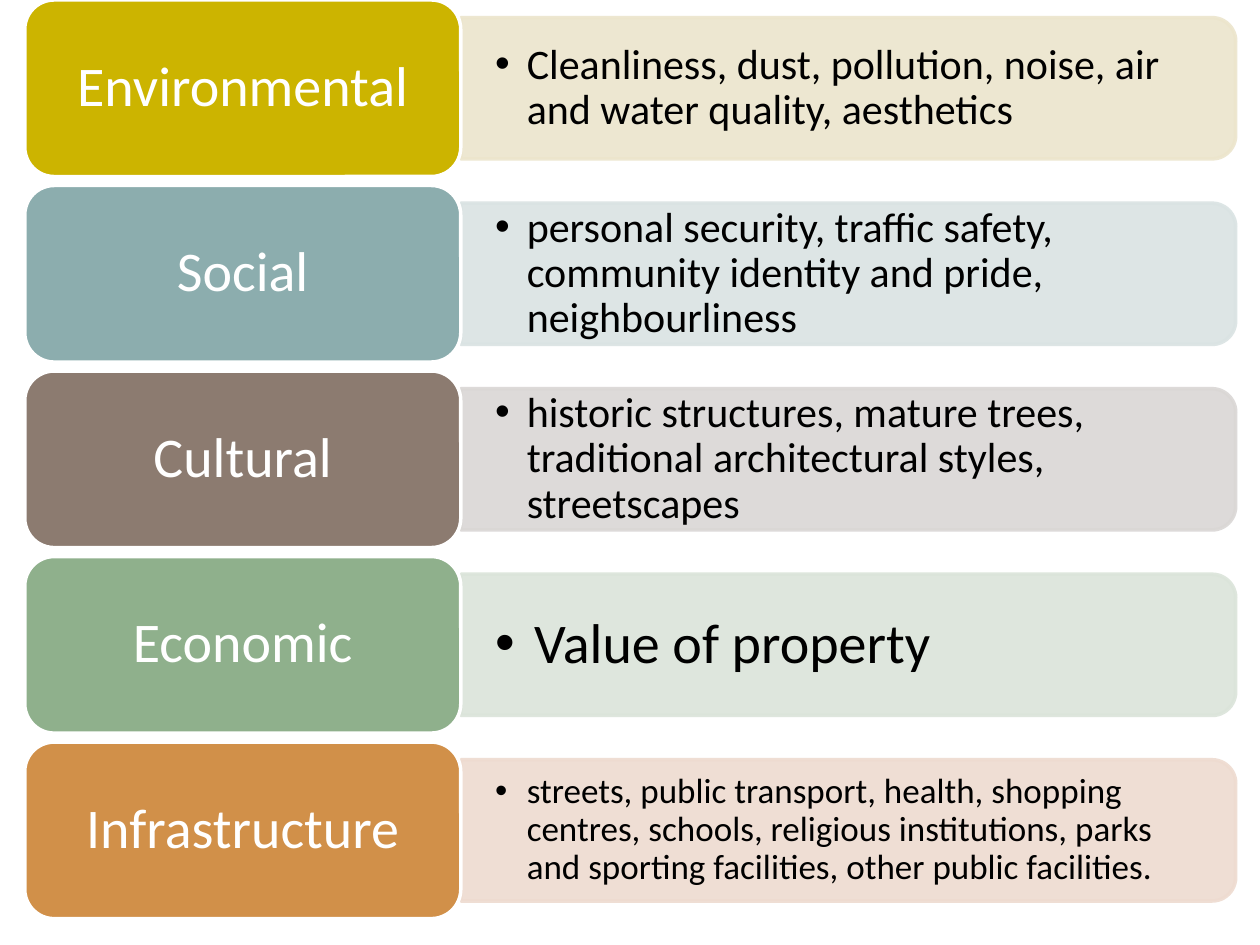
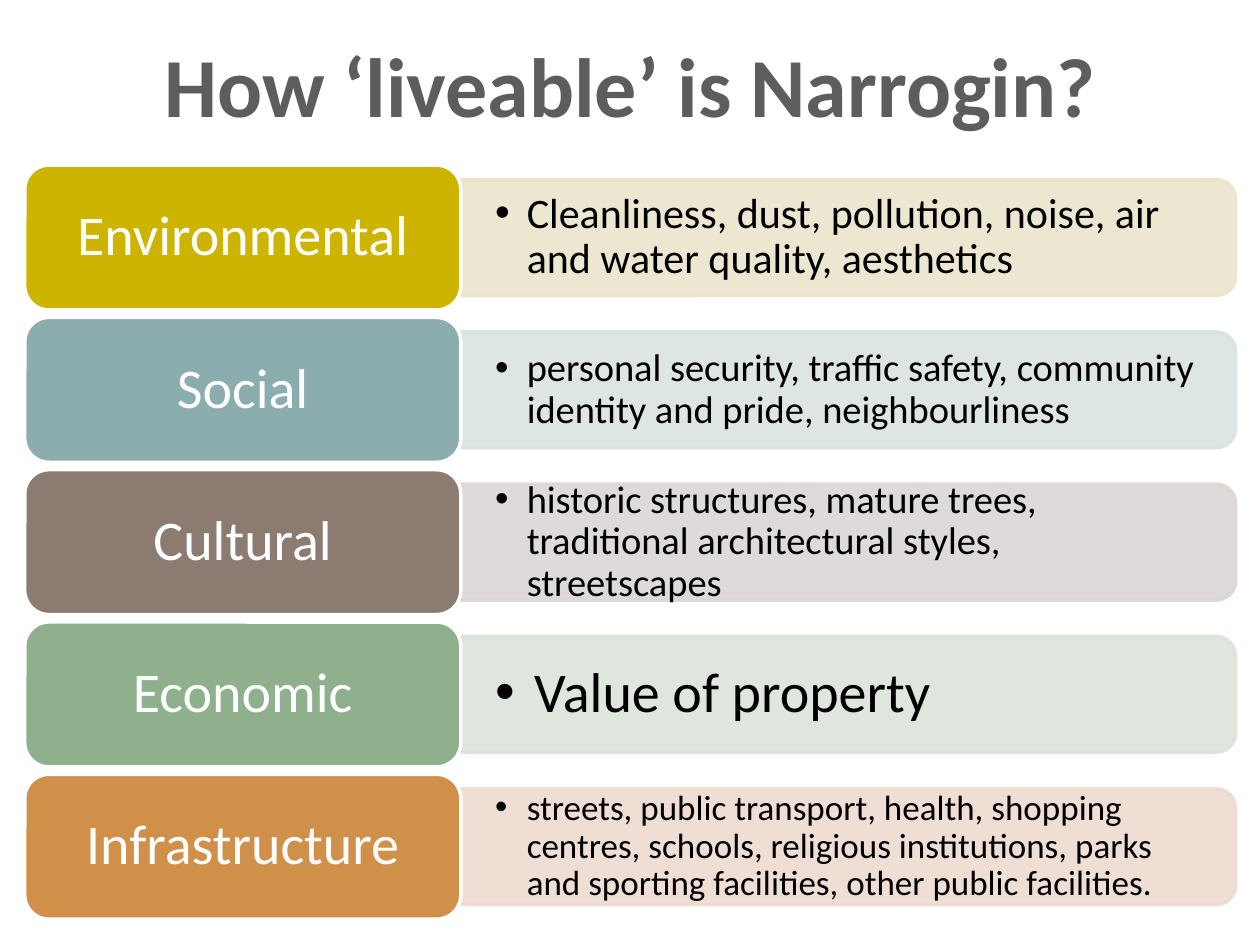
from pptx import Presentation
from pptx.dml.color import RGBColor
from pptx.enum.shapes import MSO_SHAPE
from pptx.enum.text import MSO_ANCHOR, PP_ALIGN
from pptx.oxml.ns import qn
from pptx.util import Cm, Pt
from lxml import etree

WHITE = RGBColor(0xFF, 0xFF, 0xFF)
BLACK = RGBColor(0x00, 0x00, 0x00)
TITLE_GREY = RGBColor(0x5D, 0x5D, 0x5D)
GOLD, GOLD_TINT = RGBColor(0xCC, 0xB4, 0x00), RGBColor(0xEC, 0xE5, 0xCC)
TEAL, TEAL_TINT = RGBColor(0x8C, 0xAD, 0xAE), RGBColor(0xDA, 0xE3, 0xE3)
BROWN, BROWN_TINT = RGBColor(0x8C, 0x7B, 0x70), RGBColor(0xDA, 0xD7, 0xD5)
GREEN, GREEN_TINT = RGBColor(0x8F, 0xB0, 0x8C), RGBColor(0xDB, 0xE4, 0xDA)
ORANGE, ORANGE_TINT = RGBColor(0xD1, 0x90, 0x49), RGBColor(0xEE, 0xDB, 0xD0)

FACTORS = [
    ("Environmental", GOLD, GOLD_TINT,
     "Cleanliness, dust, pollution, noise, air and water quality, aesthetics"),
    ("Social", TEAL, TEAL_TINT,
     "personal security, traffic safety, community identity and pride, "
     "neighbourliness"),
    ("Cultural", BROWN, BROWN_TINT,
     "historic structures, mature trees, traditional architectural styles, "
     "streetscapes"),
    ("Economic", GREEN, GREEN_TINT, "Value of property"),
    ("Infrastructure", ORANGE, ORANGE_TINT,
     "streets, public transport, health, shopping centres, schools, religious "
     "institutions, parks and sporting facilities, other public facilities."),
]


class Deck:
    font_name = "Calibri"
    label_size = 32
    label_left, label_width = Cm(0.5), Cm(8.79)
    panel_left, panel_width = Cm(9.29), Cm(15.62)
    detail_width = Cm(15.48)

    def __init__(self):
        self.prs = Presentation()
        self.prs.slide_width, self.prs.slide_height = Cm(25.4), Cm(19.05)
        self.s = None

    def add_slide(self, layout):
        self.s = self.prs.slides.add_slide(self.prs.slide_layouts.get_by_name(layout))

    def add_run(self, p, text, size, color, bold=False):
        r = p.add_run()
        r.text = text
        r.font.name = self.font_name
        r.font.size = Pt(size)
        r.font.bold = bold
        r.font.color.rgb = color

    def set_frame(self, tf, side, edge):
        tf.word_wrap = True
        tf.vertical_anchor = MSO_ANCHOR.MIDDLE
        tf.margin_left = tf.margin_right = side
        tf.margin_top = tf.margin_bottom = edge
        return tf.paragraphs[0]

    def add_title(self, text):
        sp = self.s.shapes.title
        sp.left, sp.top, sp.width, sp.height = Cm(2.97), Cm(0.53), Cm(19.48), Cm(2.31)
        tf = sp.text_frame
        tf.word_wrap = False
        p = tf.paragraphs[0]
        p.alignment = PP_ALIGN.CENTER
        self.add_run(p, text, 48, TITLE_GREY, bold=True)

    def add_box(self, kind, left, top, width, height, fill, line):
        sp = self.s.shapes.add_shape(kind, left, top, width, height)
        sp.shadow.inherit = False
        sp.fill.solid()
        sp.fill.fore_color.rgb = fill
        sp.line.color.rgb = line
        sp.line.width = Pt(2)
        return sp

    def add_panel(self, middle, height, tint):
        left = self.panel_left + (self.panel_width - height) // 2
        top = middle - self.panel_width // 2
        sp = self.add_box(MSO_SHAPE.ROUND_2_SAME_RECTANGLE, left, top,
                          height, self.panel_width, tint, tint)
        sp.rotation = 90
        for color in sp._element.spPr.iter(qn("a:srgbClr")):
            etree.SubElement(color, qn("a:alpha"), val="90000")

    def add_detail(self, middle, height, text, size):
        sp = self.s.shapes.add_textbox(self.panel_left, middle - height // 2,
                                       self.detail_width, height)
        p = self.set_frame(sp.text_frame, Cm(0.69), Cm(0.36))
        p.level = 1
        indent = Cm(0.79 if size == self.label_size else 0.64)
        pPr = p._p.get_or_add_pPr()
        pPr.set("marL", str(indent))
        pPr.set("indent", str(-indent))
        etree.SubElement(pPr, qn("a:buFont"), typeface="Arial")
        etree.SubElement(pPr, qn("a:buChar"), char="•")
        p.line_spacing = 0.9
        self.add_run(p, text, size, BLACK)

    def add_label(self, top, height, text, color):
        sp = self.add_box(MSO_SHAPE.ROUNDED_RECTANGLE, self.label_left, top,
                          self.label_width, height, color, WHITE)
        p = self.set_frame(sp.text_frame, Cm(0.33), Cm(0.18))
        p.alignment = PP_ALIGN.CENTER
        p.line_spacing = 0.9
        self.add_run(p, text, self.label_size, WHITE)

    def add_factors(self, top, pitch, height, sizes):
        panel_height = int(height * 0.8)
        detail_height = int(panel_height * 0.9)
        for i, ((name, color, tint, detail), size) in enumerate(zip(FACTORS, sizes)):
            row_top = top + i * pitch
            middle = row_top + height // 2
            self.add_panel(middle, panel_height, tint)
            self.add_detail(middle, detail_height, detail, size)
            self.add_label(row_top, height, name, color)


def main():
    deck = Deck()
    deck.add_slide("Blank")
    deck.add_factors(Cm(0), Cm(3.74), Cm(3.56), [24, 24, 24, 32, 20])

    deck.add_slide("Title Only")
    deck.add_title("How ‘liveable’ is Narrogin?")
    deck.add_factors(Cm(3.33), Cm(3.07), Cm(2.92), [24, 22, 22, 32, 20])
    deck.prs.save("out.pptx")


if __name__ == "__main__":
    main()
